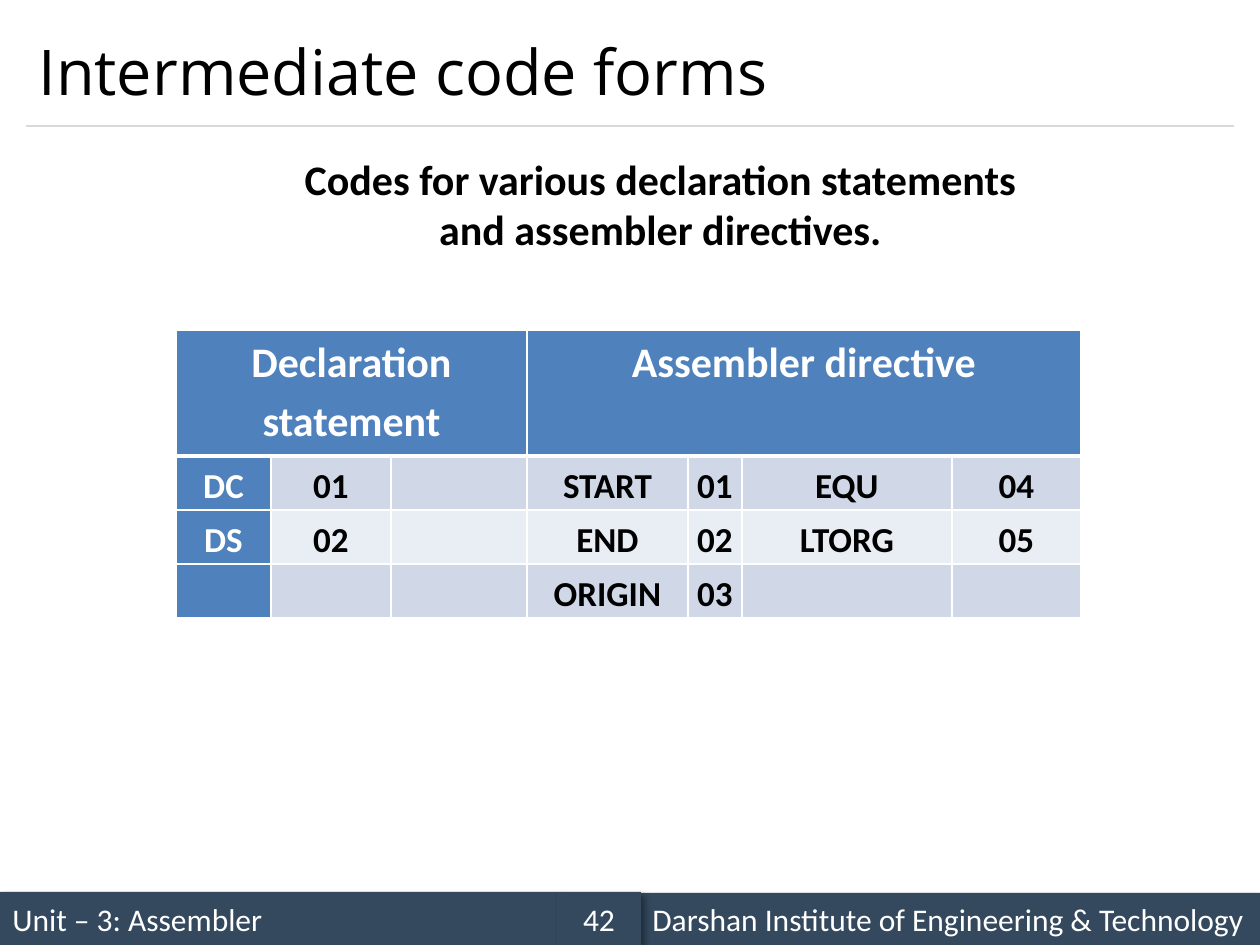
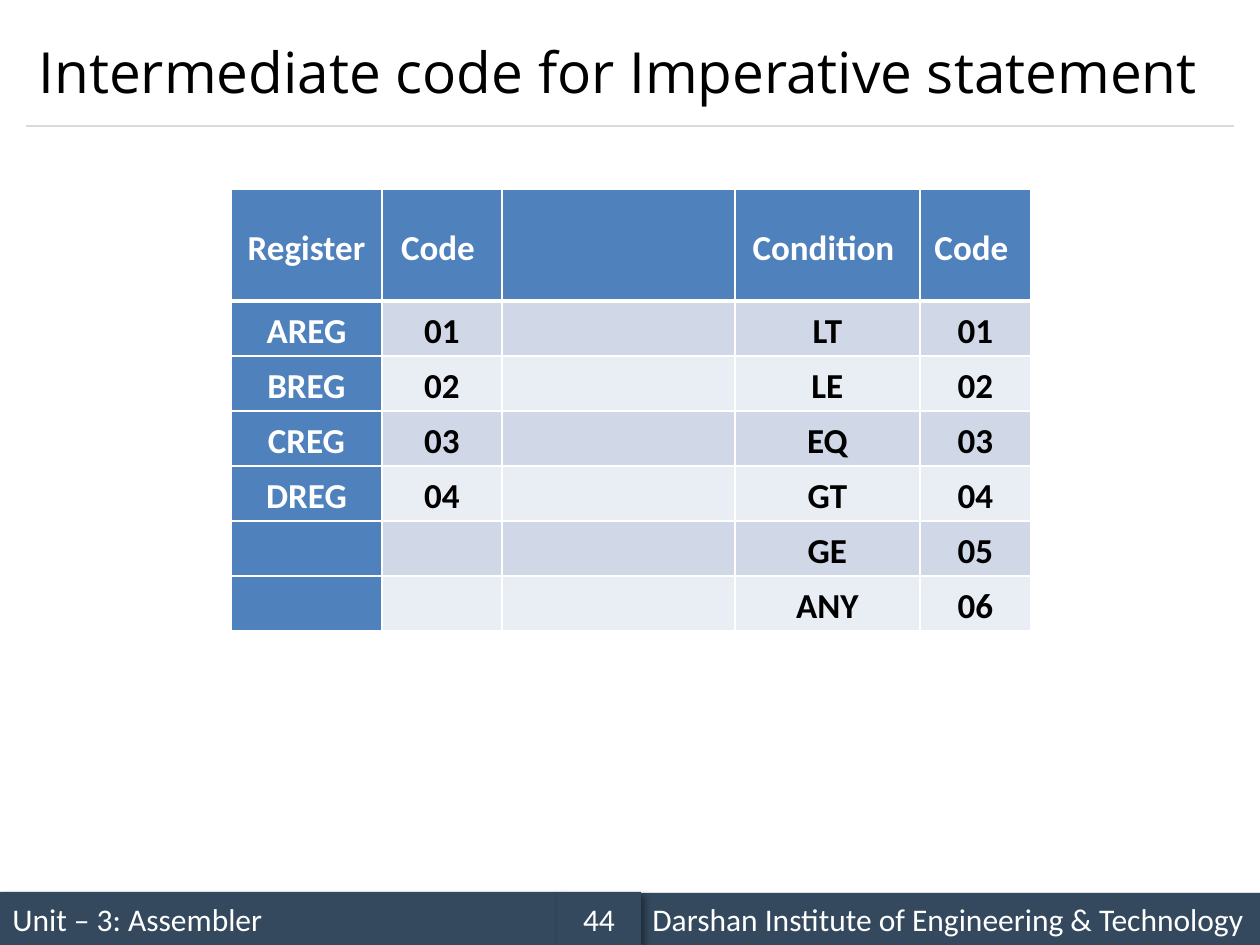
from dataclasses import dataclass

from lxml import etree
from pptx import Presentation
from pptx import util as u
from pptx.dml.color import RGBColor
from pptx.enum import shapes, text
from pptx.oxml import ns

SCALE = 914400 / 126
WIDE, HIGH = 1260, 945


@dataclass(frozen=True)
class Theme:
    bar: str = "34495E"
    rule: str = "D9D9D9"
    head: str = "4F81BD"
    odd: str = "D0D8E8"
    even: str = "E9EDF4"
    white: str = "FFFFFF"
    black: str = "000000"
    sans: str = "Open Sans"
    body: str = "Calibri"
    title: float = 36
    lead: float = 24
    cell: float = 20
    foot: float = 18


THEME = Theme()
LEFT, MID = text.PP_ALIGN.LEFT, text.PP_ALIGN.CENTER
TOP, CENTER = text.MSO_ANCHOR.TOP, text.MSO_ANCHOR.MIDDLE


def px(num):
    return u.Emu(round(num * SCALE))


def rgb(code):
    return RGBColor.from_string(code)


def node(root, tag, **attrs):
    item = etree.SubElement(root, ns.qn(tag))
    for key, val in attrs.items():
        item.set(key, str(val))
    return item


def write(frame, words, size, font=THEME.body, color=THEME.black,
          bold=False, align=LEFT, line=None, after=None):
    frame.word_wrap = True
    para = frame.paragraphs[0]
    para.alignment = align
    para.line_spacing = line
    if after is not None:
        para.space_after = u.Pt(after)
    run = para.add_run()
    run.text = words
    run.font.size = u.Pt(size)
    run.font.name = font
    run.font.bold = bold
    run.font.color.rgb = rgb(color)


def shade(shape):
    shape.shadow.inherit = False
    effects = shape._element.spPr.find(ns.qn("a:effectLst"))
    cast = node(effects, "a:outerShdw", blurRad=u.Pt(4), dist=u.Pt(3),
                dir=45 * 60000, algn="tl", rotWithShape=0)
    tint = node(cast, "a:srgbClr", val=THEME.black)
    node(tint, "a:alpha", val=40000)


def add_bar(slide, left, top, width, words, align=LEFT):
    bar = slide.shapes.add_shape(shapes.MSO_SHAPE.RECTANGLE, px(left), px(top),
                                 px(width), px(HIGH - top))
    bar.fill.solid()
    bar.fill.fore_color.rgb = rgb(THEME.bar)
    bar.line.fill.background()
    shade(bar)
    bar.text_frame.vertical_anchor = CENTER
    write(bar.text_frame, words, THEME.foot, color=THEME.white, align=align)


def add_rule(slide):
    rule = slide.shapes.add_connector(shapes.MSO_CONNECTOR.STRAIGHT,
                                      px(26), px(126), px(WIDE - 26), px(126))
    rule.line.color.rgb = rgb(THEME.rule)
    rule.line.width = u.Pt(0.75)
    node(rule._element.spPr, "a:effectLst")


def add_page(deck, title, page, size=THEME.title):
    slide = deck.slides.add_slide(deck.slide_layouts[5])
    add_bar(slide, 0, 892, 557, "Unit – 3: Assembler")
    add_rule(slide)
    add_bar(slide, 640, 893, 620,
            "Darshan Institute of Engineering & Technology")
    add_bar(slide, 557, 892, 84, str(page), MID)
    head = slide.shapes.title
    head.left, head.top, head.width, head.height = map(px, (26, 15, 1208, 111))
    head.text_frame.auto_size = text.MSO_AUTO_SIZE.NONE
    head.text_frame.vertical_anchor = CENTER
    write(head.text_frame, title, size, THEME.sans)
    return slide


def add_lead(slide, words):
    box = slide.shapes.add_textbox(px(282), px(147), px(757), px(115))
    write(box.text_frame, words, THEME.lead, bold=True, align=MID)


def edge(cell, row):
    sides = {"L": 1, "R": 1, "T": 3 if row == 1 else 1,
             "B": 3 if row == 0 else 1}
    props = cell._tc.get_or_add_tcPr()
    for side, width in sides.items():
        line = node(props, f"a:ln{side}", w=u.Pt(width))
        node(node(line, "a:solidFill"), "a:srgbClr", val=THEME.white)


def paint(cell, row, col):
    edge(cell, row)
    band = THEME.odd if row % 2 else THEME.even
    cell.fill.solid()
    cell.fill.fore_color.rgb = rgb(band if row and col else THEME.head)


def fill_cell(cell, words, size, color, anchor):
    cell.margin_left = cell.margin_right = px(9)
    cell.margin_top = cell.margin_bottom = 0
    cell.vertical_anchor = anchor
    write(cell.text_frame, words, size, color=color, bold=True,
          align=MID, line=1.15, after=3)


def add_grid(slide, left, top, cols, tall, rows, size=THEME.cell,
             anchor=CENTER):
    frame = slide.shapes.add_table(len(rows), len(cols), px(left), px(top),
                                   px(sum(cols)), px(sum(tall)))
    grid = frame.table
    grid.horz_banding = False
    for col, width in zip(grid.columns, cols):
        col.width = px(width)
    for row, height in zip(grid.rows, tall):
        row.height = px(height)
    for r, row in enumerate(rows):
        for c, words in enumerate(row):
            cell = grid.cell(r, c)
            paint(cell, r, c)
            if words:
                color = THEME.black if r and c else THEME.white
                fill_cell(cell, words, THEME.cell if r else size, color,
                          CENTER if r else anchor)
    return grid


def main():
    deck = Presentation()
    deck.slide_width, deck.slide_height = px(WIDE), px(HIGH)

    forms = add_page(deck, "Intermediate code forms", 42)
    codes = [
        ("Declaration statement", "", "", "Assembler directive", "", "", ""),
        ("DC", "01", "", "START", "01", "EQU", "04"),
        ("DS", "02", "", "END", "02", "LTORG", "05"),
        ("", "", "", "ORIGIN", "03", "", ""),
    ]
    grid = add_grid(forms, 176, 330, (95, 120, 136, 161, 54, 210, 129),
                    [126] + [54] * 3, codes, THEME.lead, TOP)
    for first, last in ((0, 2), (3, 6)):
        grid.cell(0, first).merge(grid.cell(0, last))
    add_lead(forms, "Codes for various declaration statements "
                    "and assembler directives.")

    verbs = add_page(deck, "Intermediate code for Imperative statement",
                     44, THEME.title * 0.9)
    marks = [
        ("Register", "Code ", "", "Condition ", "Code "),
        ("AREG", "01", "", "LT", "01"),
        ("BREG", "02", "", "LE", "02"),
        ("CREG", "03", "", "EQ", "03"),
        ("DREG", "04", "", "GT", "04"),
        ("", "", "", "GE", "05"),
        ("", "", "", "ANY", "06"),
    ]
    add_grid(verbs, 231, 189, (151, 120, 233, 185, 111),
             [112] + [55] * 6, marks)

    deck.save("out.pptx")


if __name__ == "__main__":
    main()
